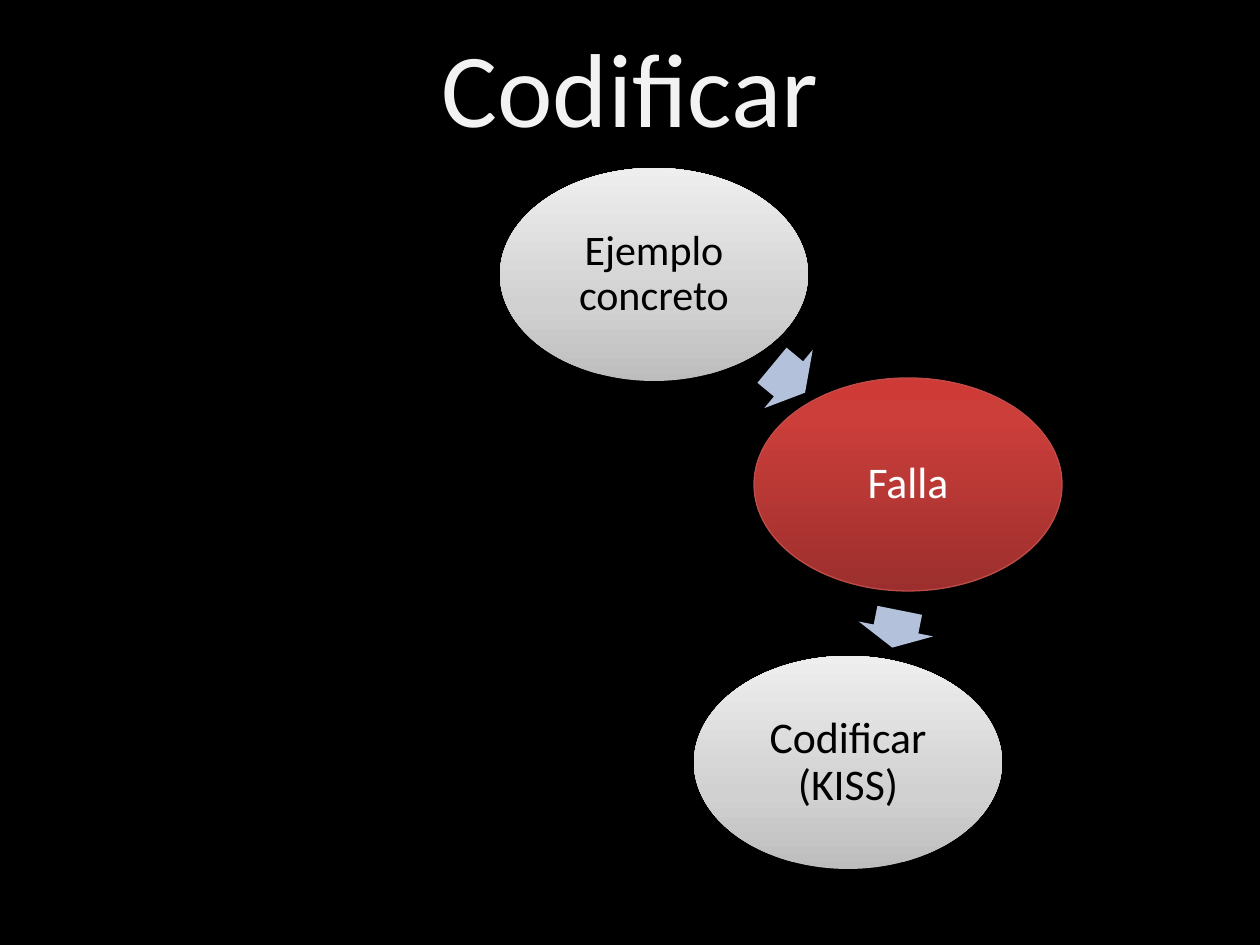
from copy import deepcopy
from typing import NamedTuple, Optional

from pptx import Presentation
from pptx import util as u
from pptx.dml.color import RGBColor
from pptx.enum import shapes, text

EMU_PER_PIXEL = 914400 / 126
FONT = "Calibri"
BLACK = RGBColor(0x00, 0x00, 0x00)
WHITE = RGBColor(0xFF, 0xFF, 0xFF)
TITLE_WHITE = RGBColor(0xF2, 0xF2, 0xF2)
RED_EDGE = RGBColor(0xBF, 0x4C, 0x48)
ARROW_BLUE = RGBColor(0xB3, 0xC1, 0xDB)
GREY_STOPS = (
    (0.0, RGBColor(0xBD, 0xBD, 0xBD)),
    (0.35, RGBColor(0xD1, 0xD1, 0xD1)),
    (1.0, RGBColor(0xEE, 0xEE, 0xEE)),
)
RED_STOPS = (
    (0.0, RGBColor(0x9C, 0x2F, 0x2D)),
    (0.8, RGBColor(0xCB, 0x3E, 0x3A)),
    (1.0, RGBColor(0xCE, 0x3B, 0x37)),
)
STEP_WIDTH, STEP_HEIGHT = 308, 213
ARROW_LENGTH_SPAN = 76


class Step(NamedTuple):
    """One oval of the cycle."""
    label: str
    left: int
    top: int
    size: int
    stops: tuple
    ink: RGBColor
    edge: Optional[RGBColor] = None


class Arrow(NamedTuple):
    """One block arrow between two steps."""
    left: int
    top: int
    width: int
    rotation: float


STEPS = (
    Step("Ejemplo concreto", 500, 168, 24, GREY_STOPS, BLACK),
    Step("Falla", 754, 378, 25, RED_STOPS, WHITE, RED_EDGE),
    Step("Codificar\v(KISS)", 694, 656, 25, GREY_STOPS, BLACK),
)
ARROWS = (Arrow(767, 341, 43, 39.7), Arrow(877, 591, 38, 101.3))


def px(pixels: float) -> u.Emu:
    """Turn pixels into EMU."""
    return u.Emu(round(pixels * EMU_PER_PIXEL))


def apply(target, formats: dict) -> None:
    """Set every attribute named in formats."""
    for name, value in formats.items():
        setattr(target, name, value)


def write(frame, wording: str, size: int, ink: RGBColor, inset: int,
          spacing: float = 1.0) -> None:
    """Fill a text frame with one centred paragraph."""
    apply(frame, {"text": wording, "word_wrap": True,
                  "vertical_anchor": text.MSO_ANCHOR.MIDDLE})
    apply(frame, {f"margin_{side}": px(inset)
                  for side in ("left", "right", "top", "bottom")})
    paragraph = frame.paragraphs[0]
    apply(paragraph, {"alignment": text.PP_ALIGN.CENTER, "line_spacing": spacing})
    for run in paragraph.runs:
        apply(run.font, {"name": FONT, "size": u.Pt(size)})
        run.font.color.rgb = ink


def paint_gradient(fill, stops: tuple) -> None:
    """Apply a gradient that runs from bottom to top."""
    fill.gradient()
    fill.gradient_angle = 90
    first = fill.gradient_stops[0]._gs
    stop_list = first.getparent()
    while len(stop_list) < len(stops):
        stop_list.append(deepcopy(first))
    for stop, (position, color) in zip(fill.gradient_stops, stops):
        stop.position = position
        stop.color.rgb = color


def draw_step(slide, step: Step) -> None:
    """Draw an oval with its label."""
    oval = slide.shapes.add_shape(
        shapes.MSO_SHAPE.OVAL, px(step.left), px(step.top),
        px(STEP_WIDTH), px(STEP_HEIGHT))
    oval.shadow.inherit = False
    paint_gradient(oval.fill, step.stops)
    if step.edge is None:
        oval.line.fill.background()
    else:
        oval.line.color.rgb = step.edge
        oval.line.width = u.Pt(0.75)
    write(oval.text_frame, step.label, step.size, step.ink, 4, 0.9)


def draw_arrow(slide, arrow: Arrow) -> None:
    """Draw a rotated block arrow."""
    block = slide.shapes.add_shape(
        shapes.MSO_SHAPE.RIGHT_ARROW, px(arrow.left), px(arrow.top),
        px(arrow.width), px(ARROW_LENGTH_SPAN))
    block.shadow.inherit = False
    block.rotation = arrow.rotation
    block.adjustments[0], block.adjustments[1] = 0.6, 0.5
    block.fill.solid()
    block.fill.fore_color.rgb = ARROW_BLUE
    block.line.fill.background()


def main() -> None:
    """Build the slide and save it."""
    deck = Presentation()
    apply(deck, {"slide_width": px(1260), "slide_height": px(945)})
    slide = deck.slides.add_slide(deck.slide_layouts[6])
    slide.background.fill.solid()
    slide.background.fill.fore_color.rgb = BLACK
    for step in STEPS:
        draw_step(slide, step)
    for arrow in ARROWS:
        draw_arrow(slide, arrow)
    title = slide.shapes.add_textbox(px(25), px(26), px(1210), px(118))
    write(title.text_frame, "Codificar", 60, TITLE_WHITE, 6)
    deck.save("out.pptx")


main()
